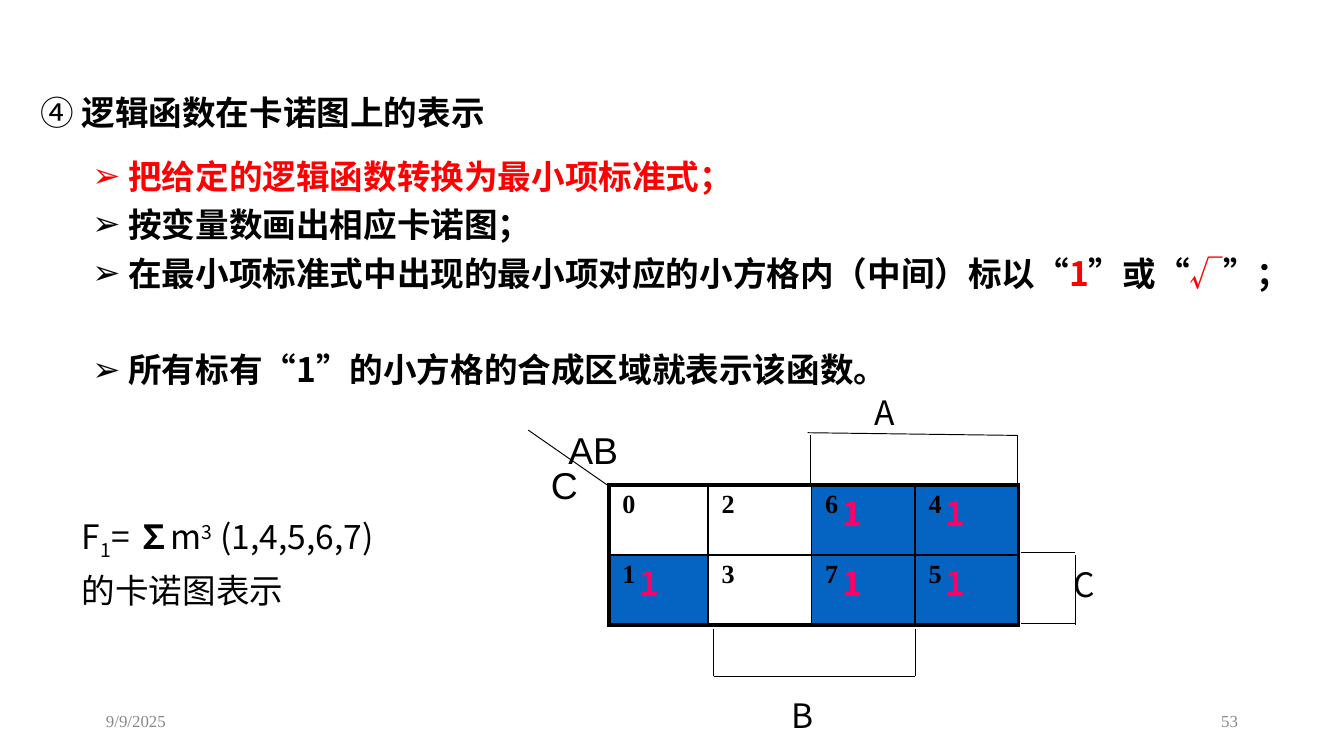
import pptx
import pptx.util
import pptx.dml.color
import pptx.enum.shapes
import pptx.enum.text
import pptx.oxml.ns
from lxml import etree

Inches = pptx.util.Inches
Pt = pptx.util.Pt
ANCHOR = pptx.enum.text.MSO_ANCHOR
ALIGN = pptx.enum.text.PP_ALIGN
qn = pptx.oxml.ns.qn

SC, JP, TIMES, ARIAL = "Noto Sans CJK SC", "Noto Sans CJK JP", "Times New Roman", "Arial"
BLACK, RED, PINK, GRAY = "000000", "FF0000", "FF0066", "898989"
BLUE, WHITE = "0563C1", "FFFFFF"

HEADING = [("④", SC, BLACK, False), (" 逻辑函数在卡诺图上的表示", SC, BLACK, True)]
STEPS = [
    [(" 把给定的逻辑函数转换为最小项标准式；", JP, RED, True)],
    [(" 按变量数画出相应卡诺图；", JP, BLACK, True)],
    [
        (" 在最小项标准式中出现的最小项对应的小方格内（中间）标以", JP, BLACK, True),
        ("“", SC, BLACK, True),
        ("1", JP, RED, True),
        ("”或“", SC, BLACK, True),
        ("√", ARIAL, RED, False),
        ("”；", SC, BLACK, True),
    ],
    [
        (" 所有标有", JP, BLACK, True),
        ("“", SC, BLACK, True),
        ("1", JP, BLACK, True),
        ("”", SC, BLACK, True),
        ("的小方格的合成区域就表示该函数。", JP, BLACK, True),
    ],
]
FORMULA = [("F", False, 0), ("1", False, -25000), ("= ", False, 0), ("∑", True, 0),
           ("m", False, 0), ("3", False, 30000), (" (1,4,5,6,7)", False, 0)]
FORMULA_NOTE = "的卡诺图表示"

KARNAUGH = [[0, 2, 6, 4], [1, 3, 7, 5]]
MINTERMS = {1, 4, 5, 6, 7}
COLUMN_WIDTHS = [0.74, 0.77, 0.77, 0.77]
ROW_HEIGHT = 0.52
MAP_LEFT, MAP_TOP = 4.53, 3.61

LABELS = [
    ("A", 6.41, 2.87, 0.9, 0.4, 18, SC),
    ("C", 7.89, 4.15, 0.79, 0.4, 18, SC),
    ("B", 5.79, 5.12, 0.55, 0.4, 18, SC),
    ("AB", 4.13, 3.13, 0.59, 0.43, 20, ARIAL),
    ("C", 4.0, 3.39, 0.41, 0.43, 20, ARIAL),
]
BRACKETS = [
    (6.03, 3.24, 6.03, 3.62), (6.01, 3.22, 7.57, 3.24), (7.57, 3.24, 7.57, 3.62),
    (5.31, 4.68, 5.31, 5.03), (5.31, 5.03, 6.81, 5.03), (6.81, 4.68, 6.81, 5.03),
    (7.6, 4.11, 8, 4.11), (8, 4.13, 8, 4.65), (7.6, 4.64, 8, 4.64),
    (4.52, 3.61, 3.93, 3.2),
]
FOOTERS = [("9/9/2025", 0.69, ALIGN.LEFT), ("53", 7.06, ALIGN.RIGHT)]


def rgb(value):
    return pptx.dml.color.RGBColor.from_string(value)


def add_run(paragraph, text, size, face, color=BLACK, bold=False, baseline=0):
    run = paragraph.add_run()
    run.text = text
    run.font.size = Pt(size)
    run.font.bold = bold
    run.font.name = face
    run.font.color.rgb = rgb(color)
    properties = run.font._element
    east_asian = SC if face == ARIAL else face
    etree.SubElement(properties, qn("a:ea")).set("typeface", east_asian)
    if baseline:
        properties.set("baseline", str(baseline))


def add_box(slide, left, top, width, height, anchor=ANCHOR.TOP):
    box = slide.shapes.add_textbox(Inches(left), Inches(top), Inches(width), Inches(height))
    box.text_frame.word_wrap = True
    box.text_frame.vertical_anchor = anchor
    return box.text_frame


def add_label(slide, text, left, top, width, height, size, face, color=BLACK, bold=False):
    frame = add_box(slide, left, top, width, height)
    add_run(frame.paragraphs[0], text, size, face, color, bold)


def add_heading(slide):
    title = slide.shapes.title
    title.left, title.top = Inches(0.2), Inches(0.67)
    title.width, title.height = Inches(8.5), Inches(0.49)
    title.text_frame.vertical_anchor = ANCHOR.TOP
    heading = title.text_frame.paragraphs[0]
    heading.alignment = ALIGN.LEFT
    heading.line_spacing = 0.9
    for text, face, color, bold in HEADING:
        add_run(heading, text, 18, face, color, bold)


def add_steps(slide):
    frame = add_box(slide, 0.59, 1.05, 9.2, 1.64)
    frame.margin_right = 0
    for index, step in enumerate(STEPS):
        paragraph = frame.paragraphs[0] if index == 0 else frame.add_paragraph()
        properties = paragraph._p.get_or_add_pPr()
        properties.set("marL", str(Inches(0.19)))
        properties.set("indent", str(-Inches(0.19)))
        etree.SubElement(properties, qn("a:buFont")).set("typeface", ARIAL)
        etree.SubElement(properties, qn("a:buChar")).set("char", "➢")
        paragraph.line_spacing = 1.2
        for text, face, color, bold in step:
            add_run(paragraph, text, 18, face, color, bold)
    paragraph.space_before = Pt(26)


def add_formula(slide):
    formula = add_box(slide, 0.51, 3.66, 3.17, 0.99, ANCHOR.MIDDLE).paragraphs[0]
    formula.line_spacing = 1.2
    for text, bold, baseline in FORMULA:
        add_run(formula, text, 18, SC, bold=bold, baseline=baseline)
    formula.add_line_break()
    add_run(formula, FORMULA_NOTE, 18, SC)


def set_borders(cell, widths):
    properties = cell._tc.get_or_add_tcPr()
    for position, (side, width) in enumerate(widths.items()):
        edge = etree.Element(qn("a:ln" + side), w=str(Pt(width)))
        fill = etree.SubElement(edge, qn("a:solidFill"))
        etree.SubElement(fill, qn("a:srgbClr")).set("val", BLACK)
        properties.insert(position, edge)


def add_karnaugh_map(slide):
    rows, columns = len(KARNAUGH), len(COLUMN_WIDTHS)
    grid = slide.shapes.add_table(
        rows, columns, Inches(MAP_LEFT), Inches(MAP_TOP),
        Inches(sum(COLUMN_WIDTHS)), Inches(rows * ROW_HEIGHT)).table
    grid.first_row = grid.horz_banding = False
    for column, width in enumerate(COLUMN_WIDTHS):
        grid.columns[column].width = Inches(width)
    for row, terms in enumerate(KARNAUGH):
        grid.rows[row].height = Inches(ROW_HEIGHT)
        for column, term in enumerate(terms):
            cell = grid.cell(row, column)
            cell.margin_top = cell.margin_bottom = Inches(0.04)
            cell.fill.solid()
            cell.fill.fore_color.rgb = rgb(BLUE if term in MINTERMS else WHITE)
            add_run(cell.text_frame.paragraphs[0], str(term), 14, TIMES, bold=True)
            outer = {"L": column == 0, "R": column == columns - 1,
                     "T": row == 0, "B": row == rows - 1}
            set_borders(cell, {side: 2.25 if edge else 1 for side, edge in outer.items()})
            if term in MINTERMS:
                left = MAP_LEFT + sum(COLUMN_WIDTHS[:column]) + 0.13
                top = MAP_TOP + row * ROW_HEIGHT + 0.01
                add_label(slide, "1", left, top, 0.58, 0.4, 18, SC, PINK, True)


def add_line(slide, x1, y1, x2, y2):
    line = slide.shapes.add_connector(
        pptx.enum.shapes.MSO_CONNECTOR.STRAIGHT,
        Inches(x1), Inches(y1), Inches(x2), Inches(y2))
    line.line.color.rgb = rgb(BLACK)
    line.line.width = Pt(0.5)
    etree.SubElement(line._element.spPr, qn("a:effectLst"))


def main():
    deck = pptx.Presentation()
    deck.slide_width = Inches(10)
    deck.slide_height = deck.slide_width * 9 // 16
    slide = deck.slides.add_slide(deck.slide_layouts[5])
    add_heading(slide)
    add_steps(slide)
    add_formula(slide)
    add_karnaugh_map(slide)
    for bracket in BRACKETS:
        add_line(slide, *bracket)
    for label in LABELS:
        add_label(slide, *label)
    for text, left, alignment in FOOTERS:
        footer = add_box(slide, left, 5.21, 2.25, 0.3, ANCHOR.MIDDLE).paragraphs[0]
        footer.alignment = alignment
        add_run(footer, text, 9, TIMES, GRAY)
    deck.save("out.pptx")


if __name__ == "__main__":
    main()
